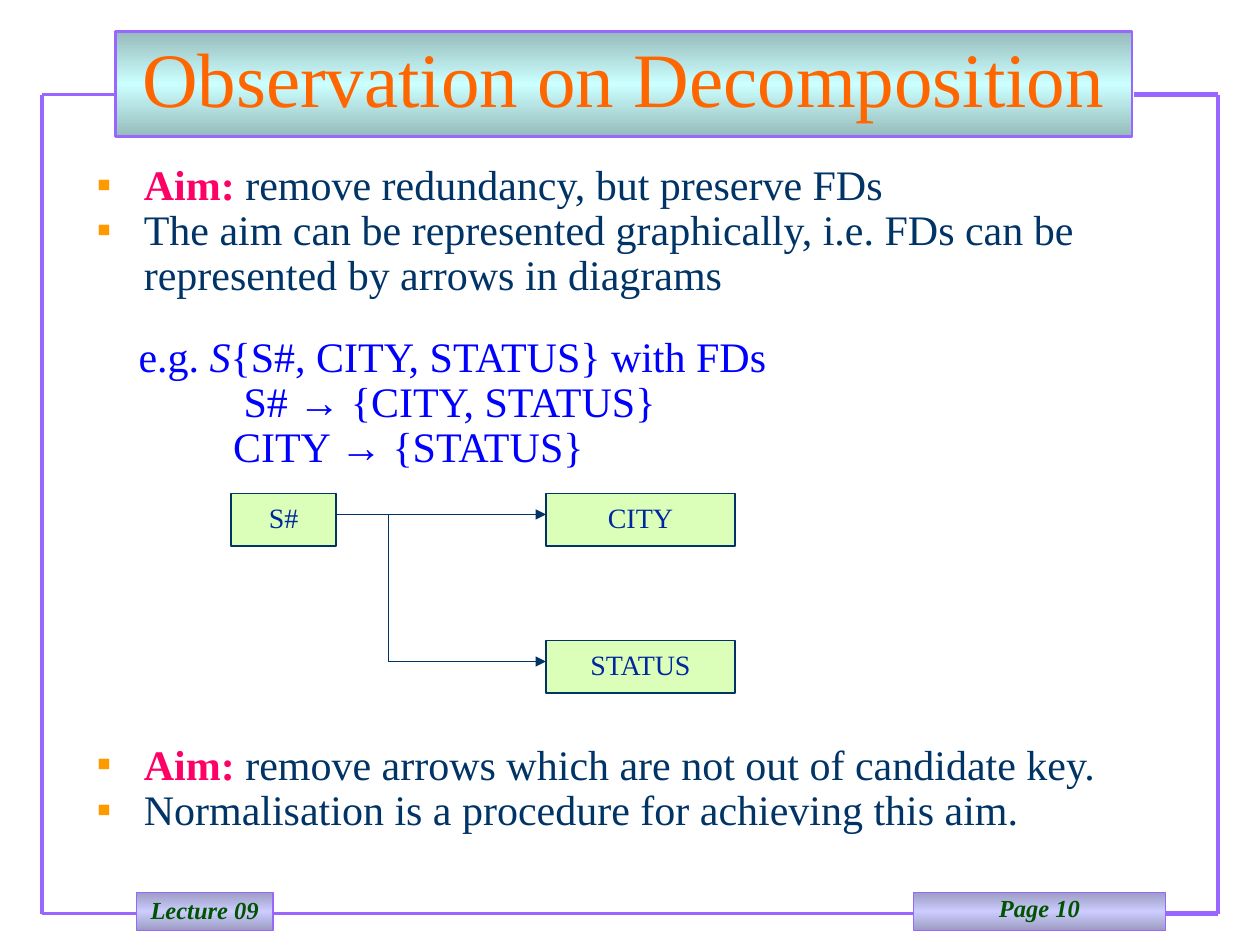
from copy import deepcopy
from pptx import Presentation
from pptx.dml.color import RGBColor
from pptx.enum.shapes import MSO_CONNECTOR as CONN, MSO_SHAPE as SHAPE
from pptx.enum.text import MSO_ANCHOR as ANCHOR, MSO_AUTO_SIZE as AUTO, PP_ALIGN as ALIGN
from pptx.oxml.ns import qn
from pptx.util import Pt
from lxml.etree import SubElement

FONT = "Times New Roman"
PURPLE, NAVY, PINK, BLUE = "9966FF", "003366", "FF0066", "0000FF"
rgb = RGBColor.from_string


def add_run(p, text, size, color, bold=False, italic=False, font=FONT):
    r = p.add_run()
    r.text = text
    r.font.name = font
    r.font.size = Pt(size)
    r.font.bold = bold
    r.font.italic = italic
    r.font.color.rgb = rgb(color)


def paint(sp, edge, middle, line, width):
    sp.shadow.inherit = False
    sp.line.color.rgb = rgb(line)
    sp.line.width = Pt(width)
    if edge == middle:
        sp.fill.solid()
        sp.fill.fore_color.rgb = rgb(middle)
        return
    sp.fill.gradient()
    sp.fill.gradient_angle = 90
    first = sp._element.xpath(".//a:gs")[0]
    first.addnext(deepcopy(first))
    stops = zip(sp.fill.gradient_stops, (0, 0.5, 1), (edge, middle, edge))
    for stop, position, color in stops:
        stop.position = position
        stop.color.rgb = rgb(color)


prs = Presentation()
prs.slide_width, prs.slide_height = Pt(720), Pt(540)
s = prs.slides.add_slide(prs.slide_layouts[1])
title, body = s.placeholders

title.left, title.top, title.width, title.height = Pt(66), Pt(18), Pt(581), Pt(60)
paint(title, "96BBBB", "CCFFFF", PURPLE, 1.5)
tf = title.text_frame
tf.auto_size = AUTO.NONE
tf.vertical_anchor = ANCHOR.MIDDLE
p = tf.paragraphs[0]
p.alignment = ALIGN.CENTER
p.line_spacing = 0.85
add_run(p, "Observation on Decomposition", 44, "FF6600")

body.left, body.top, body.width, body.height = Pt(48), Pt(90), Pt(626.4), Pt(402)
tf = body.text_frame
tf.auto_size = AUTO.NONE
tf.vertical_anchor = ANCHOR.TOP
lines = [
    (True, 27, 0, [("Aim:", PINK, True), (" remove redundancy, but preserve FDs", NAVY)]),
    (True, 27, 0, [("The aim can be represented graphically, i.e. FDs can be "
                    "represented by arrows in diagrams", NAVY)]),
    (False, 24, 20.6, [("e.g. ", BLUE), ("S", BLUE, False, True),
                       ("{S#, CITY, STATUS} with FDs", BLUE)]),
    (False, 84, 0, [("S# ", BLUE), ("→", BLUE, False, False, "Arial"),
                    (" {CITY, STATUS}", BLUE)]),
    (False, 78, 0, [("CITY ", BLUE), ("→", BLUE, False, False, "Arial"),
                    (" {STATUS}", BLUE)]),
    (True, 27, 155.3, [("Aim: ", PINK, True),
                       ("remove arrows which are not out of candidate key.", NAVY)]),
    (True, 27, 0, [("Normalisation is a procedure for achieving this aim.", NAVY)]),
]
for i, (bullet, margin, before, runs) in enumerate(lines):
    p = tf.add_paragraph() if i else tf.paragraphs[0]
    p.line_spacing = 0.9
    p.space_before = Pt(before)
    p.space_after = Pt(0)
    pPr = p._p.get_or_add_pPr()
    pPr.set("marL", str(Pt(margin)))
    pPr.set("indent", str(Pt(-27 if bullet else 0)))
    if bullet:
        SubElement(SubElement(pPr, qn("a:buClr")), qn("a:srgbClr"), val="FF9900")
        SubElement(pPr, qn("a:buFont"), typeface=FONT)
        SubElement(pPr, qn("a:buChar"), char="▪")
    else:
        SubElement(pPr, qn("a:buNone"))
    for text, color, *style in runs:
        add_run(p, text, 24, color, *style)

connectors = [
    (66, 54, 24, 54, PURPLE, 2.25, False),
    (24, 54, 24, 522, PURPLE, 2.25, False),
    (24, 522, 78, 522, PURPLE, 2.25, False),
    (648, 54, 696, 54, PURPLE, 3, False),
    (696, 54, 696, 522, PURPLE, 2.25, False),
    (666, 522, 696, 522, PURPLE, 3, False),
    (156, 522, 522, 522, PURPLE, 2.25, False),
    (192, 294, 312, 294, NAVY, 1, True),
    (222, 294, 222, 378, NAVY, 1, False),
    (222, 378, 312, 378, NAVY, 1, True),
]
for x1, y1, x2, y2, color, width, arrow in connectors:
    c = s.shapes.add_connector(CONN.STRAIGHT, Pt(x1), Pt(y1), Pt(x2), Pt(y2))
    c.line.color.rgb = rgb(color)
    c.line.width = Pt(width)
    if arrow:
        SubElement(c.line._get_or_add_ln(), qn("a:tailEnd"), type="triangle")
    SubElement(c._element.spPr, qn("a:effectLst"))

footer = ("9C9CC3", "CCCCFF", PURPLE, 0.75)
node = ("DBFFB8", "DBFFB8", NAVY, 1)
boxes = [
    ("Lecture 09", 78, 510, 78, 21.6, footer, 0.9),
    ("Page 10", 522, 510, 144, 21.6, footer, 0.8),
    ("S#", 132, 282, 60, 30, node, 0.9),
    ("CITY", 312, 282, 108, 30, node, 0.9),
    ("STATUS", 312, 366, 108, 30, node, 0.9),
]
for text, x, y, w, h, look, spacing in boxes:
    sp = s.shapes.add_shape(SHAPE.RECTANGLE, Pt(x), Pt(y), Pt(w), Pt(h))
    paint(sp, *look)
    tf = sp.text_frame
    tf.word_wrap = look is footer
    tf.vertical_anchor = ANCHOR.TOP if look is footer else ANCHOR.MIDDLE
    p = tf.paragraphs[0]
    p.alignment = ALIGN.CENTER
    p.line_spacing = spacing
    if look is footer:
        add_run(p, text, 14, "005400", True, True)
    else:
        add_run(p, text, 16, "00279F")

prs.save("out.pptx")
